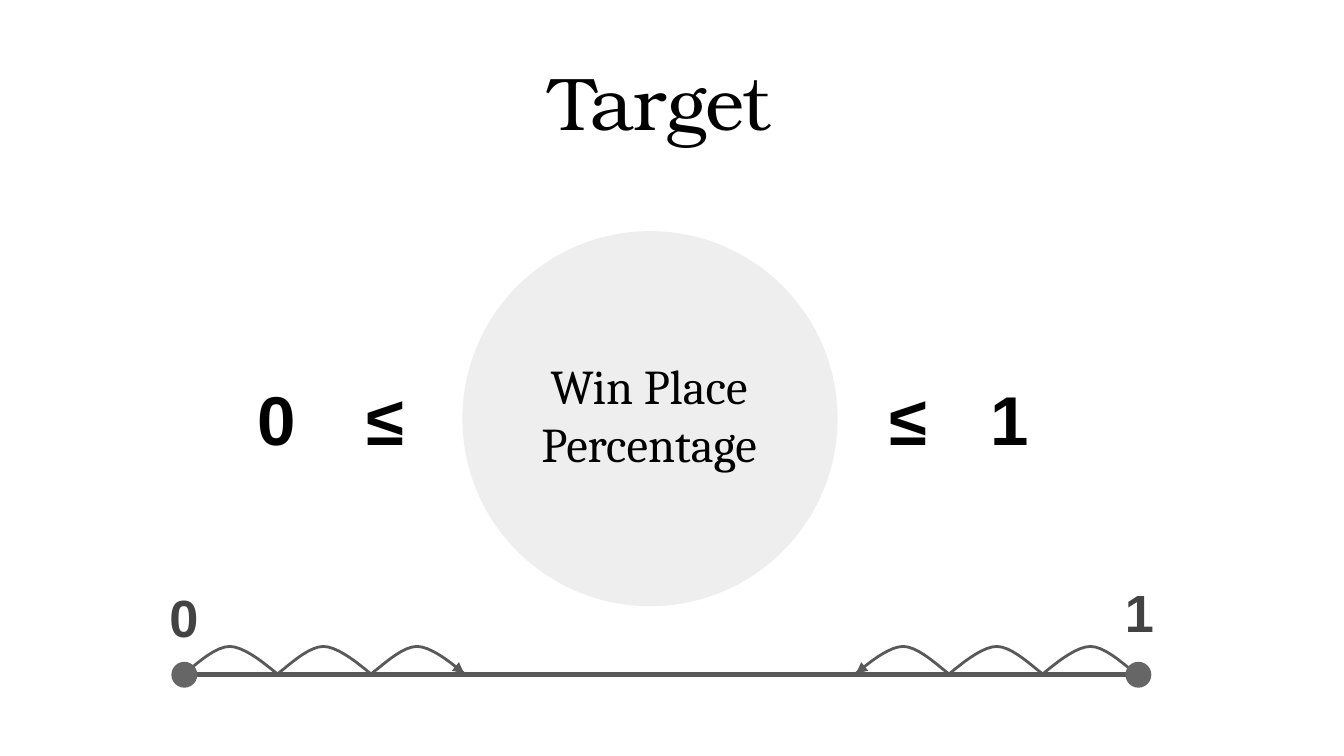
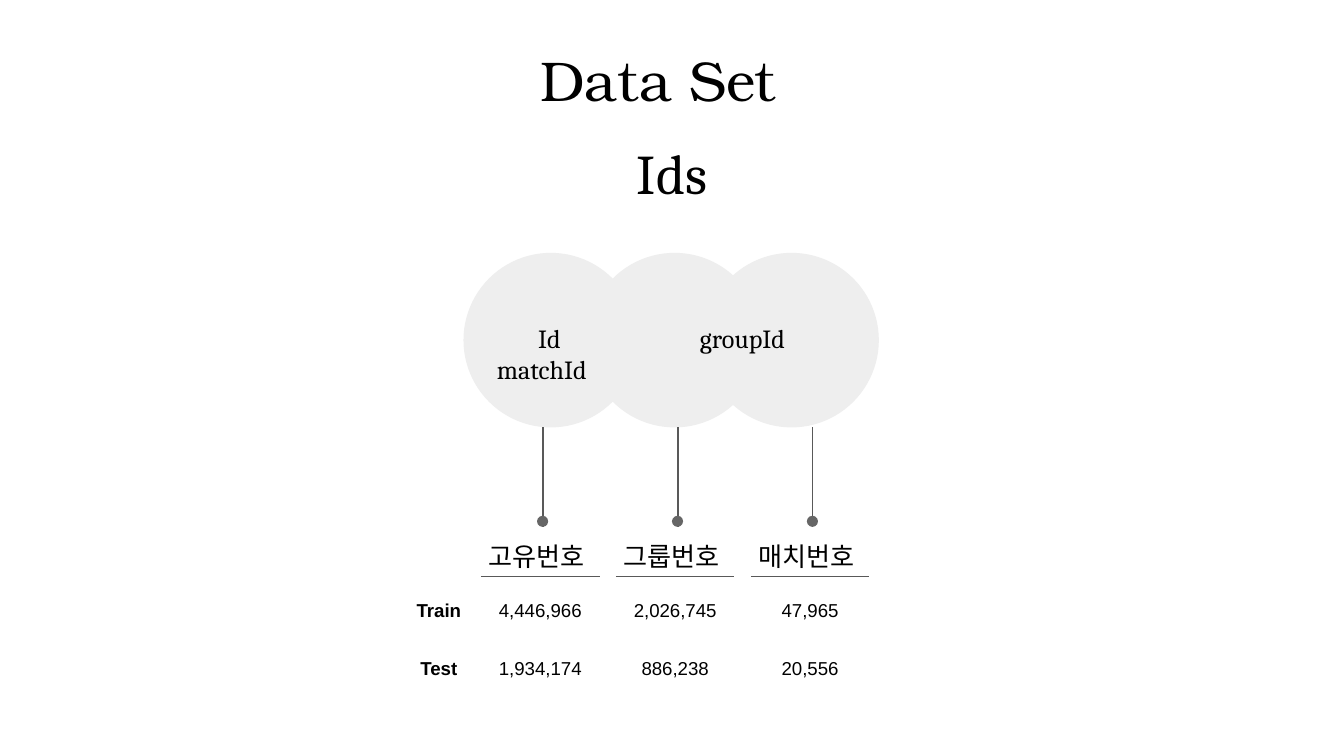
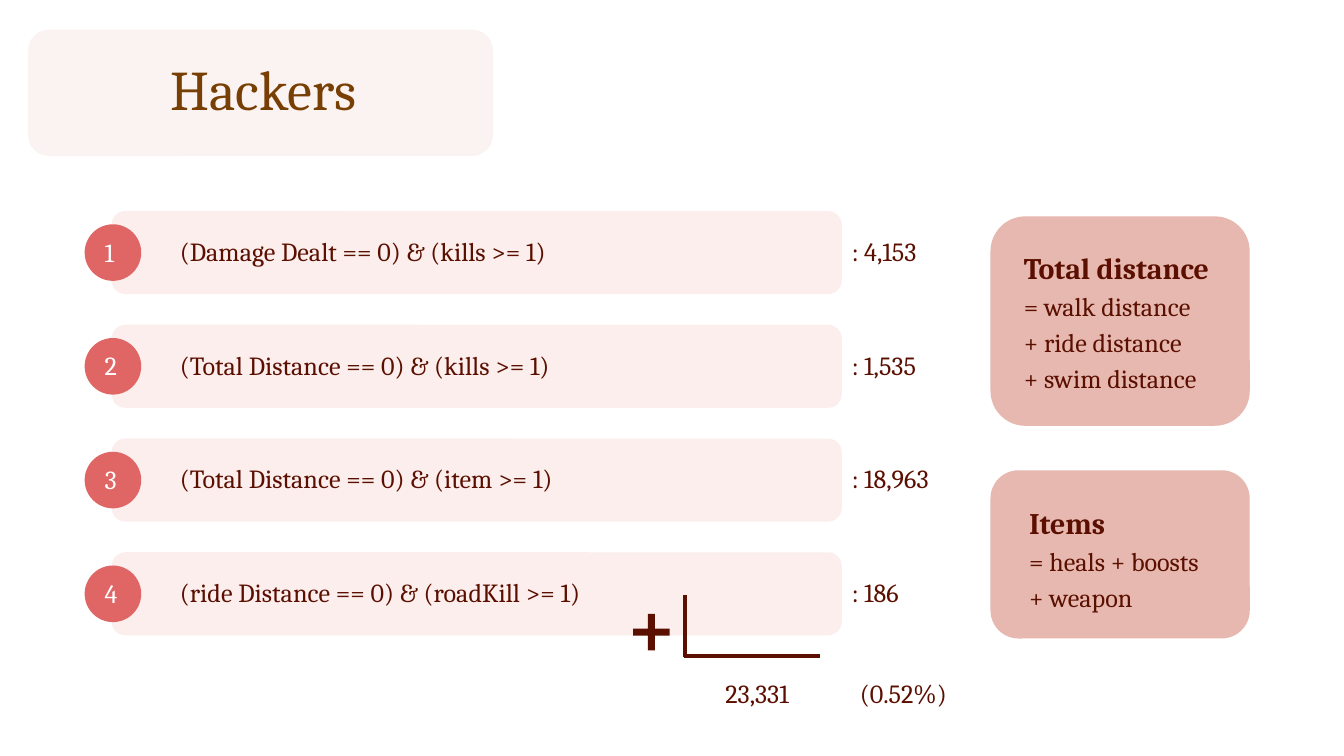
"""Builds three slides on the target, the data set ids and the hackers."""
from lxml import etree
from pptx import Presentation
from pptx.dml.color import RGBColor
from pptx.enum import shapes, text
from pptx.oxml import ns
from pptx.util import Cm, Pt

BLACK = RGBColor(0x00, 0x00, 0x00)
WHITE = RGBColor(0xFF, 0xFF, 0xFF)
LINE_GREY = RGBColor(0x59, 0x59, 0x59)
DOT_GREY = RGBColor(0x66, 0x66, 0x66)
END_GREY = RGBColor(0x43, 0x43, 0x43)
PALE_GREY = RGBColor(0xEE, 0xEE, 0xEE)
MAROON = RGBColor(0x5B, 0x0F, 0x00)
BROWN = RGBColor(0x78, 0x3F, 0x04)
BAND_PINK = RGBColor(0xF4, 0xD7, 0xD5)
BAR_PINK = RGBColor(0xF4, 0xC7, 0xC4)
NUMBER_RED = RGBColor(0xE0, 0x66, 0x66)
NOTE_PINK = RGBColor(0xE6, 0xB8, 0xAF)

SANS, SERIF, DISPLAY, HANGUL = "Arial", "Cambria", "TeX Gyre Bonum", "Comic Neue"
OVAL = shapes.MSO_SHAPE.OVAL
ROUNDED = shapes.MSO_SHAPE.ROUNDED_RECTANGLE
CENTER = text.PP_ALIGN.CENTER
LEFT = text.PP_ALIGN.LEFT


def add_xml(parent, tag, **attributes):
    """Append a DrawingML element to its parent."""
    return etree.SubElement(parent, ns.qn(tag), attributes)


def set_text(box, words, size, font=SERIF, color=BLACK, bold=False, align=LEFT, tabs=()):
    """Fill a text box or placeholder and format all its runs."""
    frame = box.text_frame
    frame.word_wrap = True
    frame.auto_size = text.MSO_AUTO_SIZE.NONE
    frame.vertical_anchor = text.MSO_ANCHOR.TOP
    frame.margin_left = frame.margin_right = Cm(0.25)
    frame.margin_top = frame.margin_bottom = Cm(0.25)
    frame.text = words
    for paragraph in frame.paragraphs:
        paragraph.alignment = align
        if tabs:
            stops = add_xml(paragraph._p.get_or_add_pPr(), "a:tabLst")
            for stop in tabs:
                add_xml(stops, "a:tab", pos=str(Cm(stop)), algn="l")
        for run in paragraph.runs:
            run.font.name = font
            run.font.size = Pt(size)
            run.font.bold = bold
            run.font.color.rgb = color


def add_text(slide, place, words, size, **style):
    """Add a text box at a place given in centimetres."""
    box = slide.shapes.add_textbox(*map(Cm, place))
    set_text(box, words, size, **style)
    return box


def add_title_slide(deck, place, words, size, **style):
    """Add a title-only slide with its title moved and formatted."""
    slide = deck.slides.add_slide(deck.slide_layouts[5])
    title = slide.shapes.title
    title.left, title.top, title.width, title.height = map(Cm, place)
    set_text(title, words, size, **style)
    return slide


def add_filled(slide, kind, place, color, opacity=100):
    """Add a flat preset shape without an outline."""
    shape = slide.shapes.add_shape(kind, *map(Cm, place))
    shape.shadow.inherit = False
    shape.line.fill.background()
    shape.fill.solid()
    shape.fill.fore_color.rgb = color
    if opacity < 100:
        tint = shape.fill._xPr.find(ns.qn("a:solidFill"))[0]
        add_xml(tint, "a:alpha", val=str(opacity * 1000))
    return shape


def add_line(slide, ends, color, width, arrow=False):
    """Add a straight line, with an arrowhead at its end if wanted."""
    line = slide.shapes.add_connector(shapes.MSO_CONNECTOR.STRAIGHT, *map(Cm, ends))
    line.line.color.rgb = color
    line.line.width = Pt(width)
    if arrow:
        add_xml(line.line._get_or_add_ln(), "a:tailEnd", type="triangle")
    add_xml(line._element.spPr, "a:effectLst")


def bezier(start, first, second, end, steps=10):
    """Return the points of a cubic curve after its start."""
    points = []
    for step in range(1, steps + 1):
        t = step / steps
        weights = ((1 - t) ** 3, 3 * t * (1 - t) ** 2, 3 * t * t * (1 - t), t ** 3)
        points.append(tuple(sum(w * p[axis] for w, p in zip(weights, (start, first, second, end)))
                            for axis in (0, 1)))
    return points


def add_hop(slide, start, base, direction):
    """Draw one arched hop along the number line."""
    rise = bezier((0, 0), (0.15, -0.1), (0.58, -0.53), (0.88, -0.53))
    fall = bezier((0.88, -0.53), (1.18, -0.53), (1.63, -0.13), (1.77, -0.02))
    points = [(Cm(start + direction * x), Cm(base + y)) for x, y in rise + fall]
    outline = slide.shapes.build_freeform(Cm(start), Cm(base))
    outline.add_line_segments(points, close=False)
    hop = outline.convert_to_shape()
    hop.shadow.inherit = False
    hop.fill.background()
    hop.line.color.rgb = LINE_GREY
    hop.line.width = Pt(1.5)


def add_note(slide, panel, place, words):
    """Add a definition panel with a bold heading line."""
    add_filled(slide, ROUNDED, panel, NOTE_PINK)
    note = add_text(slide, place, words, 14, color=MAROON)
    for paragraph in note.text_frame.paragraphs:
        paragraph.line_spacing = 1.15
    heading = note.text_frame.paragraphs[0].runs[0].font
    heading.size, heading.bold = Pt(16), True


def build_target(deck):
    """Show the target's range and a number line."""
    slide = add_title_slide(deck, (9.14, 0.81, 6.68, 2.46), "Target", 40,
                            font=DISPLAY, align=CENTER)
    add_filled(slide, OVAL, (8.74, 4.37, 7.09, 7.09), PALE_GREY)
    add_text(slide, (9.3, 6.48, 5.94, 2.41), "Win Place Percentage", 26, align=CENTER)
    for left, symbol in ((4.62, "0"), (6.68, "≤"), (16.56, "≤"), (18.47, "1")):
        add_text(slide, (left, 6.86, 1.32, 2.08), symbol, 37, font=SANS, bold=True)

    base, hop_width = 12.75, 1.77
    add_line(slide, (3.48, base, 21.49, base), LINE_GREY, 3)
    for label, left, top, end, direction in (("0", 2.95, 10.82, 3.46, 1),
                                             ("1", 21.01, 10.72, 21.49, -1)):
        for hop in range(3):
            add_hop(slide, end + direction * hop * hop_width, base, direction)
        tip = end + direction * 3 * hop_width
        add_line(slide, (tip - direction * 0.28, base - 0.25, tip, base - 0.02),
                 LINE_GREY, 0.75, arrow=True)
        add_filled(slide, OVAL, (end + 0.02 - 0.24, base - 0.24, 0.49, 0.49), DOT_GREY)
        add_text(slide, (left, top, 1.07, 1.5), label, 28, font=SANS, color=END_GREY, bold=True)


def build_ids(deck):
    """Show the id columns with their train and test counts."""
    slide = add_title_slide(deck, (1.07, 0.61, 23.67, 1.6), "Data Set", 30, font=DISPLAY)
    indent = slide.shapes.title.text_frame.paragraphs[0]._p.get_or_add_pPr()
    indent.set("marL", str(Cm(8.89)))
    indent.set("indent", "0")
    add_text(slide, (9.4, 2.36, 6.6, 1.35), "Ids", 30, align=CENTER)
    for left in (8.76, 11.1, 13.31):
        add_filled(slide, OVAL, (left, 4.78, 3.3, 3.3), PALE_GREY)
    add_text(slide, (9.14, 5.84, 7.21, 1.14), "\tId\tgroupId\vmatchId", 14, tabs=(0.78, 3.84))

    row_tops = (11.07, 12.16)
    for top, name in zip(row_tops, ("Train", "Test")):
        add_text(slide, (7.57, top, 1.45, 0.84), name, 10, font=SANS, bold=True, align=CENTER)
    columns = (("고유번호", "4,446,966", "1,934,174"),
               ("그룹번호", "2,026,745", "886,238"),
               ("매치번호", "47,965", "20,556"))
    for index, (heading, *counts) in enumerate(columns):
        stem = 10.26 + index * 2.55
        add_line(slide, (stem, 8.08, stem, 9.96), LINE_GREY, 0.75)
        add_filled(slide, OVAL, (stem - 0.11, 9.75, 0.21, 0.21), DOT_GREY)
        add_text(slide, (stem - 1.28, 9.96, 2.57, 0.99), heading, 14, font=HANGUL)
        add_line(slide, (stem - 1.17, 10.9, stem + 1.07, 10.9), LINE_GREY, 0.75)
        for top, count in zip(row_tops, counts):
            add_text(slide, (stem - 1.13, top, 2.16, 0.84), count, 10, font=SANS, align=CENTER)


def build_hackers(deck):
    """List the hacker rules with their counts and total."""
    slide = add_title_slide(deck, (0.51, 0.79, 8.94, 1.96), "Hackers", 30,
                            color=BROWN, align=CENTER)
    band = add_filled(slide, ROUNDED, (0.53, 0.56, 8.79, 2.39), BAND_PINK, 30)
    band._element.addnext(slide.shapes.title._element)

    rules = (("(Damage Dealt == 0) & (kills >= 1)", "4,153"),
             ("(Total Distance == 0) & (kills >= 1)", "1,535"),
             ("(Total Distance == 0) & (item >= 1)", "18,963"),
             ("(ride Distance == 0) & (roadKill >= 1)", "186"))
    for index, (rule, count) in enumerate(rules):
        top = 3.99 + index * 2.15
        add_filled(slide, ROUNDED, (2.11, top, 13.8, 1.57), BAR_PINK, 30)
        add_filled(slide, OVAL, (1.6, top + 0.25, 1.07, 1.07), NUMBER_RED)
        add_text(slide, (1.73, top + 0.22, 0.79, 0.94), str(index + 1), 14, color=WHITE)
        add_text(slide, (3.15, top + 0.21, 21.06, 1.24), f"{rule}\t: {count}", 14,
                 color=MAROON, tabs=(12.7,))

    add_line(slide, (15.49, 12.4, 12.93, 12.4), MAROON, 2.25)
    add_line(slide, (12.95, 11.25, 12.95, 12.42), MAROON, 2.25)
    plus = add_filled(slide, shapes.MSO_SHAPE.MATH_PLUS, (11.84, 11.48, 0.94, 0.94), MAROON)
    plus.adjustments[0] = 0.14
    add_text(slide, (13.46, 12.55, 4.75, 1.24), "23,331\t(0.52%)", 14, color=MAROON, tabs=(2.54,))

    add_note(slide, (18.72, 4.09, 4.9, 3.96), (19.1, 4.37, 4.17, 3.07),
             "Total distance\n= walk distance\n+ ride distance\n+ swim distance")
    add_note(slide, (18.72, 8.89, 4.9, 3.18), (19.2, 9.19, 4.09, 2.39),
             "Items\n= heals + boosts\n+ weapon")


def main():
    """Build and save the deck."""
    deck = Presentation()
    deck.slide_width, deck.slide_height = Cm(25.4), Cm(14.29)
    build_target(deck)
    build_ids(deck)
    build_hackers(deck)
    deck.save("out.pptx")


if __name__ == "__main__":
    main()
